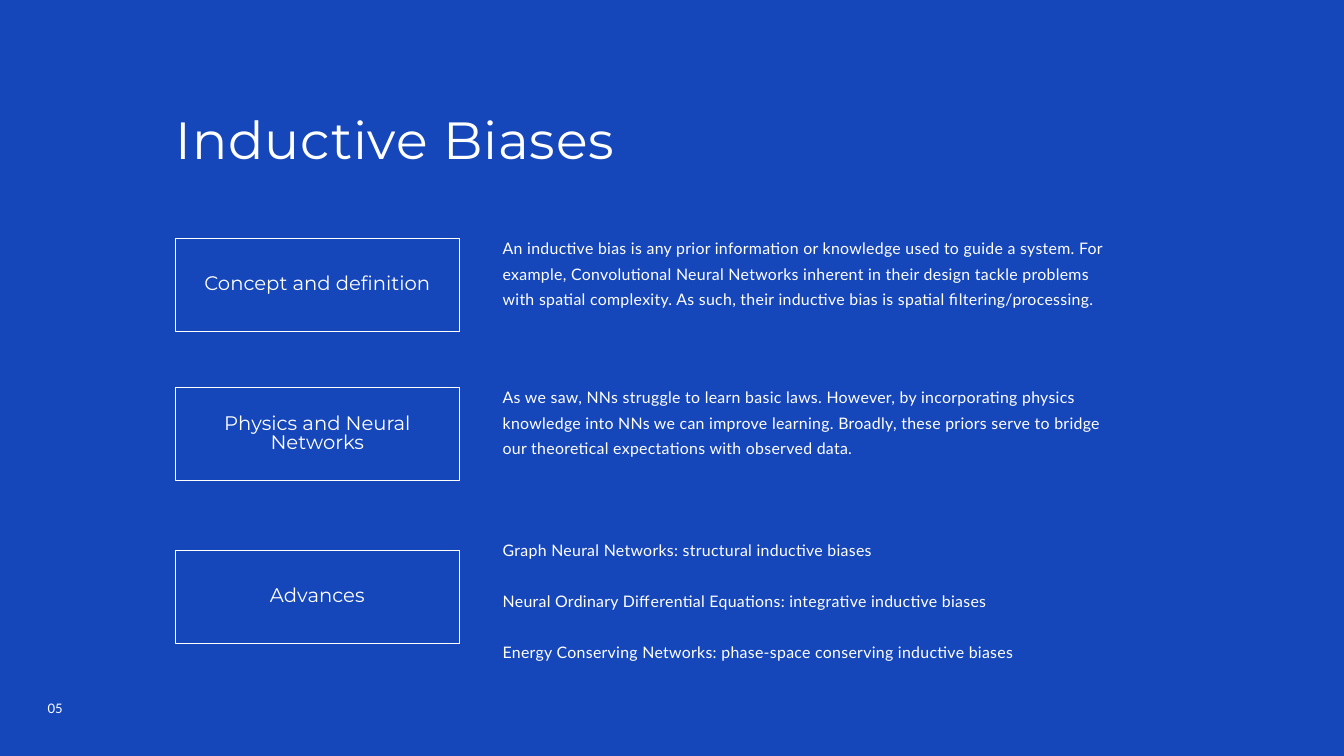
from pptx import Presentation
from pptx.dml.color import RGBColor
from pptx.enum.shapes import MSO_SHAPE as Shape
from pptx.enum.text import MSO_ANCHOR as Anchor, PP_ALIGN as Align
from pptx.util import Pt

BLUE = RGBColor(0x15, 0x46, 0xBA)
WHITE = RGBColor(0xFF, 0xFF, 0xFF)
HEAD, BODY = "Montserrat", "Lato"
LEFT = 188

ROWS = [
    (255.6, "Concept and definition", -6.5, 106.5, [
        "An inductive bias is any prior information or knowledge used to guide "
        "a system. For example, Convolutional Neural Networks inherent in their "
        "design tackle problems with spatial complexity. As such, their inductive "
        "bias is spatial filtering/processing."]),
    (415.5, "Physics and Neural Networks", -6.5, 79.2, [
        "As we saw, NNs struggle to learn basic laws. However, by incorporating "
        "physics knowledge into NNs we can improve learning. Broadly, these priors "
        "serve to bridge our theoretical expectations with observed data."]),
    (589.7, "Advances", -17.3, 134, [
        "Graph Neural Networks: structural inductive biases",
        "Neural Ordinary Differential Equations: integrative inductive biases",
        "Energy Conserving Networks: phase-space conserving inductive biases"]),
]


def write(frame, texts, font, size, lead, track=0, gap=0, align=Align.LEFT):
    """Fill a text frame with one paragraph per text."""
    frame.word_wrap = True
    frame.margin_left = frame.margin_right = Pt(0)
    frame.margin_top = frame.margin_bottom = Pt(0)
    for i, text in enumerate(texts):
        para = frame.add_paragraph() if i else frame.paragraphs[0]
        para.alignment = align
        para.line_spacing = Pt(lead)
        if i:
            para.space_before = Pt(gap)
        run = para.add_run()
        run.text = text
        run.font.name = font
        run.font.size = Pt(size)
        run.font.color.rgb = WHITE
        if track:
            run._r.get_or_add_rPr().set("spc", str(round(track * 100)))


def add_text(slide, x, y, w, h, texts, *style, **more):
    """Place a text box and write its paragraphs."""
    box = slide.shapes.add_textbox(Pt(x), Pt(y), Pt(w), Pt(h))
    write(box.text_frame, texts, *style, **more)


def add_label(slide, x, y, w, h, text):
    """Draw an outlined box with a centred label."""
    box = slide.shapes.add_shape(Shape.RECTANGLE, Pt(x), Pt(y), Pt(w), Pt(h))
    box.shadow.inherit = False
    box.fill.background()
    box.line.color.rgb = WHITE
    box.line.width = Pt(0.75)
    frame = box.text_frame
    write(frame, [text], HEAD, 21, 21, align=Align.CENTER)
    frame.margin_left = frame.margin_right = Pt(20)
    frame.vertical_anchor = Anchor.MIDDLE


def add_row(slide, x, y, label, shift, height, texts):
    """Place a label box with its description to the right."""
    add_label(slide, x, y, 304, 99.4, label)
    add_text(slide, x + 350.6, y + shift, 648, height, texts,
             BODY, 17, 27.2, track=0.3, gap=27.2)


def main():
    """Build the slide and save it."""
    deck = Presentation()
    deck.slide_width, deck.slide_height = Pt(1440), Pt(810)
    slide = deck.slides.add_slide(deck.slide_layouts[6])
    fill = slide.background.fill
    fill.solid()
    fill.fore_color.rgb = BLUE
    add_text(slide, LEFT, 120.2, 865.4, 64, ["Inductive Biases"],
             HEAD, 56, 62.2, track=0.9)
    for top, *row in ROWS:
        add_row(slide, LEFT, top, *row)
    add_text(slide, 51, 753.8, 52, 11.5, ["05"], BODY, 14, 14)
    deck.save("out.pptx")


if __name__ == "__main__":
    main()
